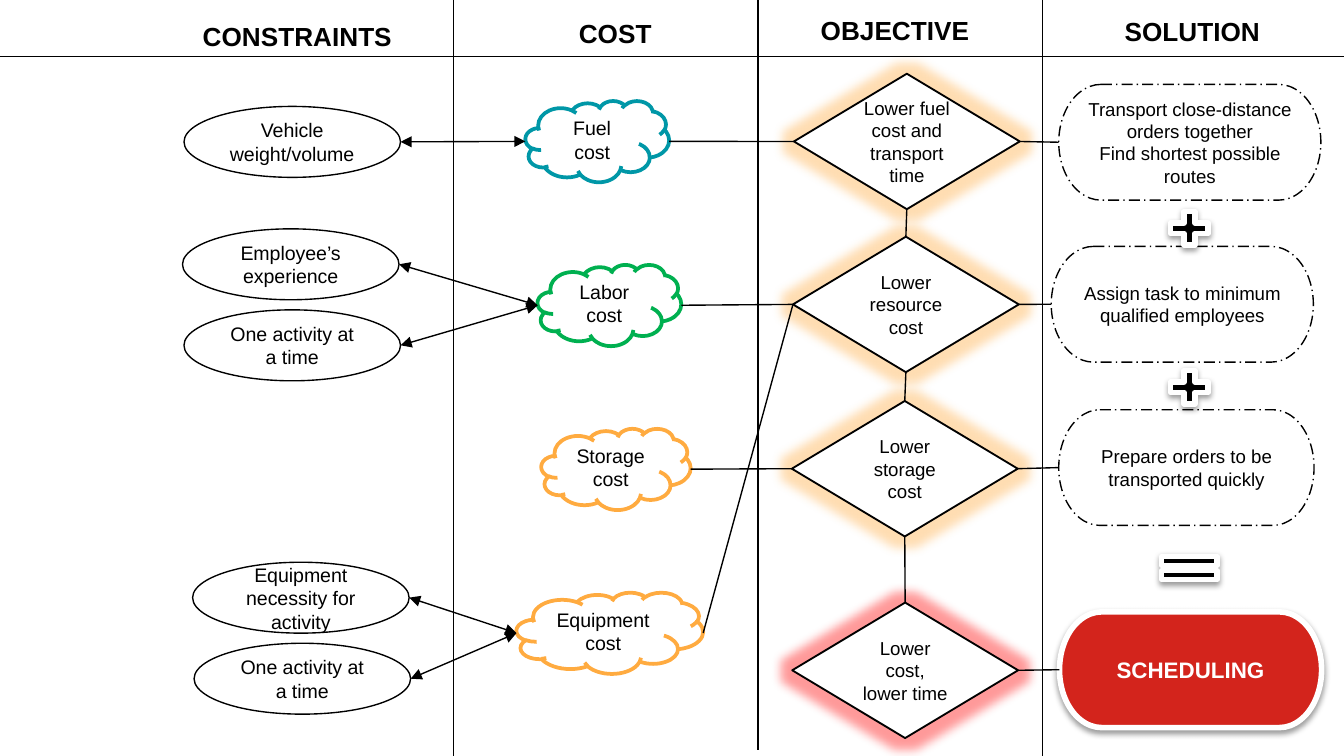
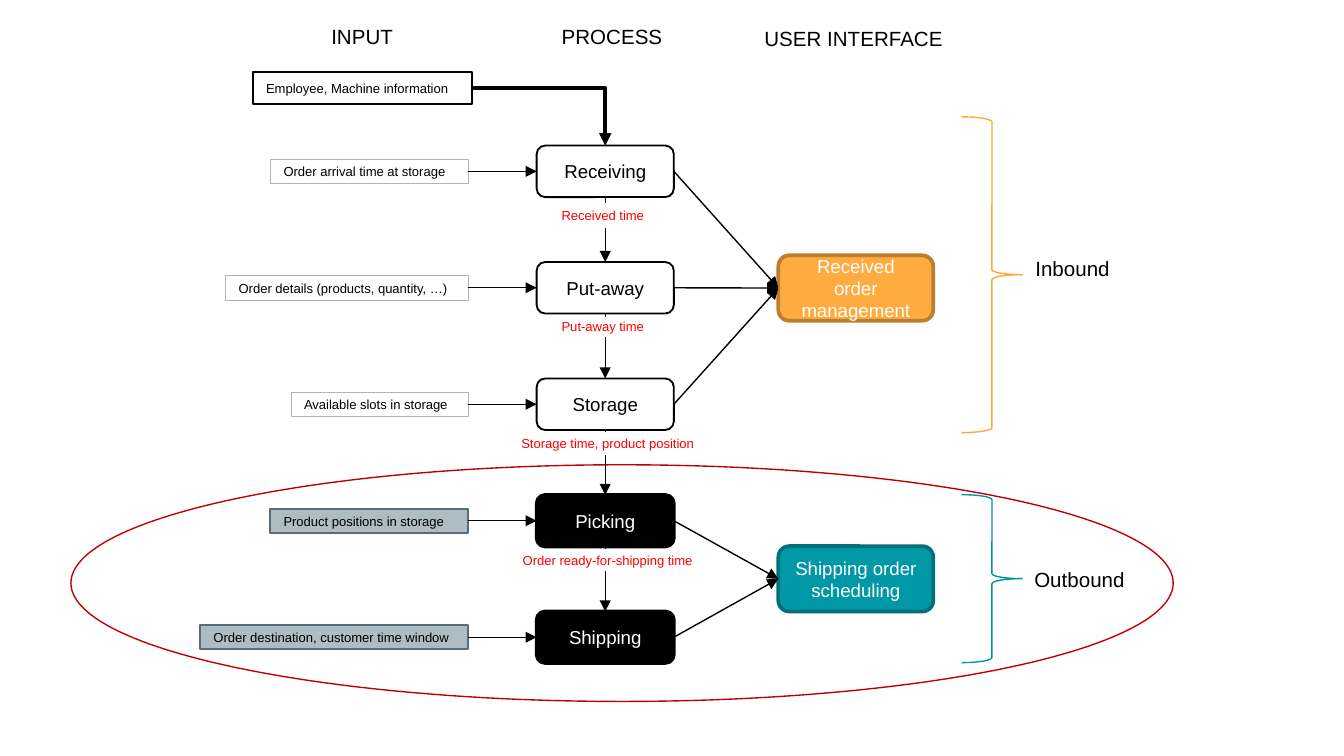
"""Build two slides: a cost and goal map, and a warehouse process flow."""
from dataclasses import dataclass
from typing import NamedTuple, Optional

from pptx import Presentation
from pptx.dml.color import RGBColor as Rgb
from pptx.enum.dml import MSO_LINE as Dash
from pptx.enum.shapes import MSO_CONNECTOR as Link, MSO_SHAPE as Form
from pptx.enum.text import MSO_ANCHOR as Anchor, MSO_AUTO_SIZE as Auto, PP_ALIGN as Align
from pptx.oxml.ns import qn
from pptx.oxml.xmlchemy import OxmlElement as make
from pptx.util import Pt

FONT = "Arial"
HEX = {
    "white": "FFFFFF", "black": "000000", "red": "FF0000", "brick": "D3241C",
    "wine": "C00000", "green": "00B050", "teal": "0097A7", "sea": "00707C",
    "orange": "FFAB40", "brown": "BD7F2F", "gray": "B2B2B2", "mist": "AEBCC4",
    "slate": "586D77", "amber": "FEA83A", "lagoon": "0094A3",
}


class Area(NamedTuple):
    x: float
    y: float
    w: float
    h: float

    def at(self, side: str) -> tuple:
        """Give the middle of the left, right, top or bottom side."""
        dx, dy = {"l": (0, .5), "r": (1, .5), "t": (.5, 0), "b": (.5, 1)}[side]
        return self.x + dx * self.w, self.y + dy * self.h


@dataclass(frozen=True)
class Look:
    form: Form
    fill: Optional[str] = "white"
    edge: str = "black"
    width: float = 0.75
    size: float = 10
    ink: str = "black"
    bold: bool = False
    align: Align = Align.CENTER
    dash: Optional[Dash] = None
    glow: Optional[str] = None
    shade: bool = False


def color(name: str) -> Rgb:
    """Turn a color name into a color."""
    return Rgb.from_string(HEX[name])


def node(parent, tag: str, **attrs):
    """Add a child element with its attributes."""
    child = make(tag)
    for key, value in attrs.items():
        child.set(key, str(value))
    parent.append(child)
    return child


def write(frame, text: str, *, size: float = 10, ink: str = "black", bold: bool = False,
          align: Align = Align.LEFT, anchor: Anchor = Anchor.TOP, wrap: bool = True) -> None:
    """Fill a text frame, one paragraph a line."""
    frame.word_wrap = wrap
    frame.vertical_anchor = anchor
    for i, line in enumerate(text.split("\n")):
        para = frame.paragraphs[0] if i == 0 else frame.add_paragraph()
        para.alignment = align
        run = para.add_run()
        run.text = line
        run.font.name, run.font.size, run.font.bold = FONT, Pt(size), bold
        run.font.color.rgb = color(ink)


def tint(parent, name: str, alpha: int) -> None:
    """Add a see-through color to an effect."""
    node(node(parent, "a:srgbClr", val=HEX[name]), "a:alpha", val=alpha * 1000)


def draw(slide, look: Look, area: Area, text: str = "") -> Area:
    """Draw one shape in the given look and return its area."""
    shape = slide.shapes.add_shape(look.form, *map(Pt, area))
    shape.shadow.inherit = False
    if look.fill:
        shape.fill.solid()
        shape.fill.fore_color.rgb = color(look.fill)
    else:
        shape.fill.background()
    shape.line.color.rgb = color(look.edge)
    shape.line.width = Pt(look.width)
    if look.dash:
        shape.line.dash_style = look.dash
    effects = shape.element.spPr.find(qn("a:effectLst"))
    if look.glow:
        tint(node(effects, "a:glow", rad=Pt(11)), look.glow, 40)
    if look.shade:
        tint(node(effects, "a:outerShdw", blurRad=Pt(3.1), dist=Pt(1.6),
                  dir=5400000, rotWithShape=0), "black", 38)
    if text:
        write(shape.text_frame, text, size=look.size, ink=look.ink, bold=look.bold,
              align=look.align, anchor=Anchor.MIDDLE)
    return area


def join(slide, start: tuple, end: tuple, *, head: bool = False, tail: bool = False,
         width: float = 0.75, bent: bool = False) -> None:
    """Draw a line between two points, with arrowheads if asked."""
    kind = Link.ELBOW if bent else Link.STRAIGHT
    line = slide.shapes.add_connector(kind, *map(Pt, (*start, *end)))
    line.line.color.rgb = color("black")
    line.line.width = Pt(width)
    props = line.element.spPr
    if bent:
        props.find(qn("a:prstGeom")).set("prst", "bentConnector2")
    for tag, shown in (("a:headEnd", head), ("a:tailEnd", tail)):
        if shown:
            node(props.find(qn("a:ln")), tag, type="triangle")
    node(props, "a:effectLst")


def label(slide, area: Area, text: str, size: float, bold: bool = False,
          wrap: bool = False) -> None:
    """Place a free line of text."""
    frame = slide.shapes.add_textbox(*map(Pt, area)).text_frame
    write(frame, text, size=size, bold=bold, wrap=wrap)
    frame.auto_size = Auto.SHAPE_TO_FIT_TEXT


LIMIT = Look(Form.OVAL, size=10.5)
GOAL = Look(Form.DIAMOND, width=1, glow="orange")
FINAL = Look(Form.DIAMOND, width=1, glow="red")
PLAN = Look(Form.FLOWCHART_TERMINATOR, dash=Dash.LONG_DASH_DOT)
RESULT = Look(Form.FLOWCHART_TERMINATOR, "brick", "white", 3, 12, "white", True, shade=True)
PLUS = Look(Form.MATH_PLUS, "black", "white", 3, shade=True)
EQUAL = Look(Form.MATH_EQUAL, "black", "white", 3, shade=True)
STEP = Look(Form.ROUNDED_RECTANGLE, width=1)
DARK = Look(Form.ROUNDED_RECTANGLE, "black", width=2, ink="white")
INPUT = Look(Form.RECTANGLE, edge="gray", width=0.25, size=7, align=Align.LEFT)
STAFF = Look(Form.RECTANGLE, width=1, size=7, align=Align.LEFT)
FOCUS = Look(Form.RECTANGLE, "mist", "slate", 1, 7, align=Align.LEFT)
NOTE = Look(Form.RECTANGLE, edge="white", width=0.25, size=7, ink="red", align=Align.LEFT)
WIDE = Look(Form.RECTANGLE, edge="white", width=0.25, size=7, ink="red")


def cost_map(slide) -> None:
    """Draw limits, costs, goals and plans in four columns."""
    costs = [draw(slide, Look(Form.CLOUD, edge=edge, width=2, size=10.5),
                  Area(x, 54 + 87.8 * i, w, 43.5), text)
             for i, (x, w, edge, text) in enumerate((
                 (281.5, 77, "teal", "Fuel cost"),
                 (288, 77, "green", "Labor cost"),
                 (290, 80, "orange", "Storage cost"),
                 (276.7, 100, "orange", "Equipment cost")))]
    plans = [draw(slide, look, Area(x, y, w, 62), text) for look, x, y, w, text in (
        (PLAN, 567.2, 45.2, 140.4,
         "Transport close-distance orders together\nFind shortest possible routes"),
        (PLAN, 563.2, 132, 140.4, "Assign task to minimum qualified employees"),
        (PLAN, 567.2, 219.5, 136.8, "Prepare orders to be transported quickly"),
        (RESULT, 567.6, 327.8, 140.4, "SCHEDULING"))]
    for y in (110, 195.2):
        draw(slide, PLUS, Area(623.5, y, 27.4, 24.5))
    draw(slide, EQUAL, Area(617, 293.8, 40.4, 21))

    goals = [draw(slide, look, Area(x, y, 121, 72.6), text) for look, x, y, text in (
        (GOAL, 425.3, 39.5, "Lower fuel cost and transport time"),
        (GOAL, 424.8, 126.8, "Lower resource cost"),
        (GOAL, 424.2, 214.8, "Lower storage cost"),
        (FINAL, 424.4, 322.8, "Lower cost, lower time"))]
    for upper, lower in zip(goals, goals[1:]):
        join(slide, upper.at("b"), lower.at("t"))

    for start, end in (((406, 0), (406, 401.8)), ((558.5, 0), (558.5, 405)),
                       ((242.8, 0), (242.8, 405)), ((0, 30.4), (720, 30.4))):
        join(slide, start, end)
    for x, y, w, text in ((101.5, 7.2, 116.6, "CONSTRAINTS"), (303, 5.6, 54, "COST"),
                          (432.6, 4.2, 95, "OBJECTIVE"), (595.4, 4.8, 87.8, "SOLUTION")):
        label(slide, Area(x, y, w, 24.5), text, 14, bold=True)

    for cost, goal in zip(costs, (0, 1, 2, 1)):
        join(slide, cost.at("r"), goals[goal].at("l"))
    for goal, plan in zip(goals, plans):
        join(slide, goal.at("r"), plan.at("l"))
    for x, y, cost, text in ((98.6, 57, 0, "Vehicle weight/volume"),
                             (97.8, 122.6, 1, "Employee’s experience"),
                             (98.6, 166, 1, "One activity at a time"),
                             (103.2, 301.2, 3, "Equipment necessity for activity"),
                             (104, 344.6, 3, "One activity at a time")):
        limit = draw(slide, LIMIT, Area(x, y, 116, 38), text)
        join(slide, limit.at("r"), costs[cost].at("l"), head=True, tail=True)


def flow_map(slide) -> None:
    """Draw the process steps with their inputs and screens."""
    draw(slide, Look(Form.OVAL, edge="wine"), Area(38, 249, 590.5, 126.8))
    steps = [draw(slide, look, Area(287.5, 78 + 62.4 * i, 73.5, 27.6), text)
             for i, (look, text) in enumerate((
                 (STEP, "Receiving"), (STEP, "Put-away"), (STEP, "Storage"),
                 (DARK, "Picking"), (DARK, "Shipping")))]
    for upper, lower in zip(steps, steps[1:]):
        join(slide, upper.at("b"), lower.at("t"), tail=True)

    for y, fill, edge, text, group in (
            (136.8, "orange", "brown", "Received order management", steps[:3]),
            (292.6, "teal", "sea", "Shipping order scheduling", steps[3:])):
        look = Look(Form.ROUNDED_RECTANGLE, fill, edge, 2, ink="white")
        screen = draw(slide, look, Area(417, y, 83, 35), text)
        for step in group:
            join(slide, step.at("r"), screen.at("l"), tail=True)

    staff = draw(slide, STAFF, Area(135.5, 38.8, 117.4, 17), "Employee, Machine information")
    join(slide, staff.at("r"), steps[0].at("t"), tail=True, width=2.25, bent=True)
    for step, look, w, text in zip(
            steps, (INPUT, INPUT, INPUT, FOCUS, FOCUS), (106, 130, 95, 106, 143.5),
            ("Order arrival time at storage", "Order details (products, quantity, …)",
             "Available slots in storage", "Product positions in storage",
             "Order destination, customer time window")):
        entry = draw(slide, look, Area(250.8 - w, step.at("l")[1] - 6.5, w, 13), text)
        join(slide, entry.at("r"), step.at("l"), tail=True)

    for look, x, y, w, h, text in (
            (NOTE, 293.8, 108.8, 81.4, 13, "Received time"),
            (NOTE, 293.8, 170, 60.5, 10, "Put-away time"),
            (WIDE, 269.3, 231.8, 112.4, 11.6, "Storage time, product position"),
            (WIDE, 269.3, 294.2, 112.4, 11.6, "Order ready-for-shipping time")):
        draw(slide, look, Area(x, y, w, h), text)

    for x, y, w, text, wrap in (
            (170.4, 9.2, 48.4, "INPUT", False), (293.8, 9.2, 69, "PROCESS", False),
            (402.4, 10.2, 113, "USER INTERFACE", True),
            (547.6, 133.8, 54.7, "Inbound", False), (547, 300.4, 63.4, "Outbound", False)):
        label(slide, Area(x, y, w, 20.6), text, 11, wrap=wrap)
    for y, h, edge in ((62.6, 169.2, "amber"), (265, 90, "lagoon")):
        draw(slide, Look(Form.RIGHT_BRACE, None, edge), Area(515.2, y, 32.4, h))


def main() -> None:
    """Build and save the deck."""
    deck = Presentation()
    deck.slide_width, deck.slide_height = Pt(720), Pt(405)
    for paint in (cost_map, flow_map):
        paint(deck.slides.add_slide(deck.slide_layouts[6]))
    deck.save("out.pptx")


if __name__ == "__main__":
    main()
